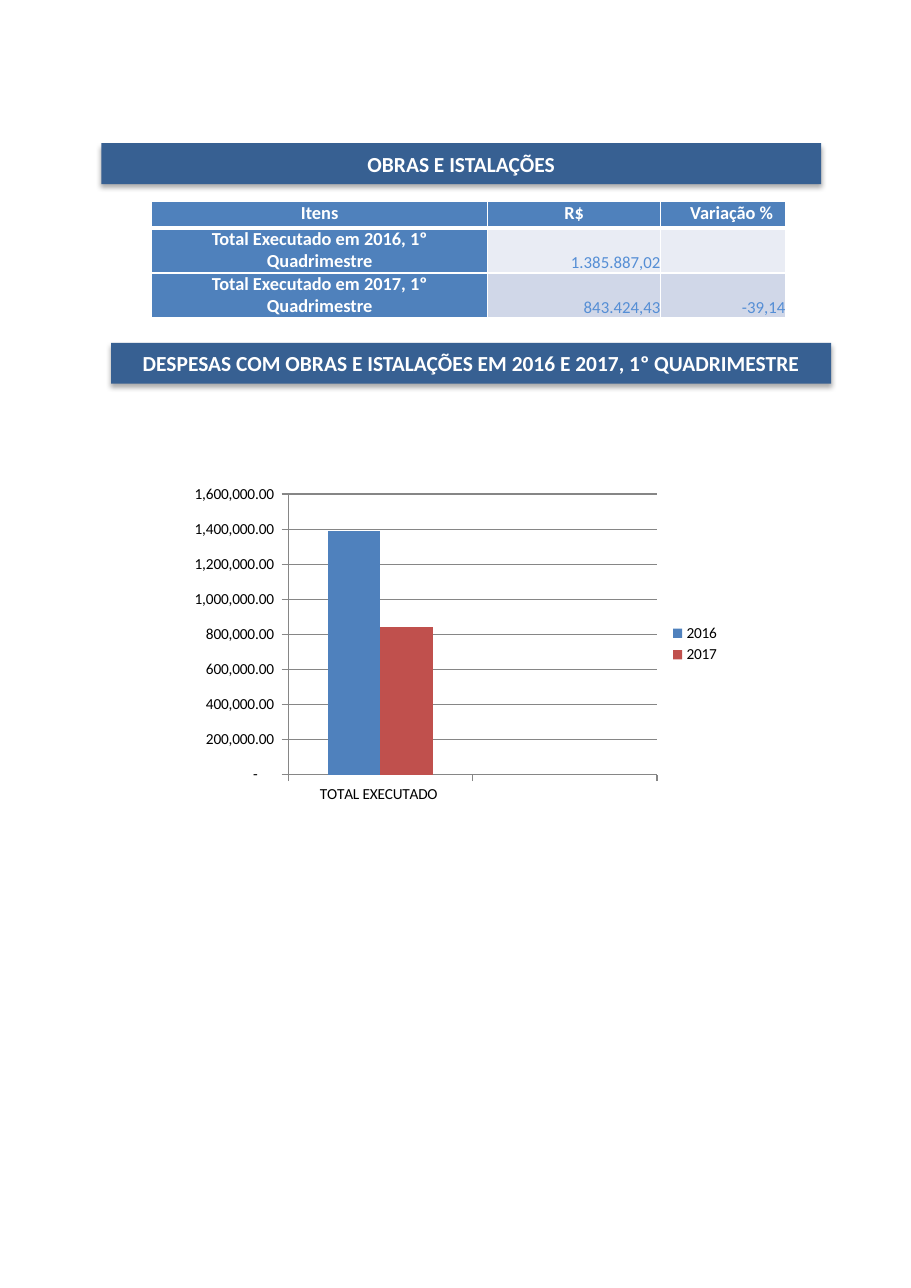
from lxml import etree
from pptx import Presentation
from pptx.chart.data import CategoryChartData
from pptx.dml.color import RGBColor
from pptx.enum.chart import XL_CHART_TYPE as CT, XL_LEGEND_POSITION as LP, XL_TICK_MARK as TM
from pptx.enum.shapes import MSO_SHAPE
from pptx.enum.text import MSO_ANCHOR as MA, MSO_AUTO_SIZE, PP_ALIGN as PA
from pptx.oxml import parse_xml
from pptx.oxml.ns import nsdecls, qn
from pptx.util import Pt

FONT = "Calibri"
NAVY, BLUE, WHITE = "376092", "4F81BC", "FFFFFF"
NUMBER_BLUE, GRID_GREY = "558ED5", "868686"
BAND_COLORS = ("E9ECF4", "D0D7E8")
SERIES_COLORS = ("4F81BD", "C0504D")


def rgb(value):
    return RGBColor.from_string(value)


def style_font(font, size, color, bold=False):
    font.name, font.size, font.bold = FONT, Pt(size), bold
    font.color.rgb = rgb(color)


def place(sp, x, y, w, h):
    sp.left, sp.top, sp.width, sp.height = Pt(x), Pt(y), Pt(w), Pt(h)


def format_banner(sp, text, x, y, w, h):
    """Navy bar with a soft shadow and centred heading."""
    place(sp, x, y, w, h)
    sp.fill.solid()
    sp.fill.fore_color.rgb = rgb(NAVY)
    sp.line.fill.background()
    sp.shadow.inherit = False
    effects = sp._element.spPr.find(qn("a:effectLst"))
    effects.append(parse_xml(
        f'<a:outerShdw {nsdecls("a")} blurRad="{Pt(3.5)}" dist="{Pt(2.2)}" dir="5400000" '
        'rotWithShape="0"><a:srgbClr val="000000"><a:alpha val="32000"/></a:srgbClr></a:outerShdw>'))
    tf = sp.text_frame
    tf.word_wrap, tf.auto_size = True, MSO_AUTO_SIZE.NONE
    tf.vertical_anchor = MA.MIDDLE
    tf.text = text
    p = tf.paragraphs[0]
    p.alignment = PA.CENTER
    style_font(p.font, 14, WHITE, True)


def set_borders(cell, top, bottom):
    tcPr = cell._tc.get_or_add_tcPr()
    for i, (side, width) in enumerate((("L", 1), ("R", 1), ("T", top), ("B", bottom))):
        ln = etree.Element(qn(f"a:ln{side}"), w=str(Pt(width)))
        fill = etree.SubElement(ln, qn("a:solidFill"))
        etree.SubElement(fill, qn("a:srgbClr"), val=WHITE)
        tcPr.insert(i, ln)


def format_cell(cell, text, row, col):
    heading = row == 0 or col == 0
    cell.margin_left = cell.margin_right = cell.margin_top = cell.margin_bottom = 0
    cell.fill.solid()
    cell.fill.fore_color.rgb = rgb(BLUE if heading else BAND_COLORS[row - 1])
    set_borders(cell, 3 if row == 1 else 1, 3 if row == 0 else 1)
    cell.vertical_anchor = MA.TOP if heading else MA.BOTTOM
    cell.text = text
    p = cell.text_frame.paragraphs[0]
    centred = col == 0 or (row == 0 and col == 1)
    p.alignment = PA.CENTER if centred else PA.RIGHT
    if heading:
        left, right = ((28.8, 28.8), (42.5, 42.5), (0, 8))[col]
        pPr = p._p.get_or_add_pPr()
        pPr.set("marL", str(Pt(left)))
        pPr.set("marR", str(Pt(right)))
    style_font(p.font, 12 if heading else 11, WHITE if heading else NUMBER_BLUE, heading)


def add_spending_table(slide, x, y, w, h):
    rows = (("Itens", "R$", "Variação %"),
            ("Total Executado em 2016, 1º Quadrimestre", "1.385.887,02", ""),
            ("Total Executado em 2017, 1º Quadrimestre", "843.424,43", "-39,14"))
    table = slide.shapes.add_table(3, 3, Pt(x), Pt(y), Pt(w), Pt(h)).table
    header_h = 17.3
    for col, share in zip(table.columns, (0.53, 0.273, 0.197)):
        col.width = Pt(w * share)
    for i, row in enumerate(table.rows):
        row.height = Pt(header_h if i == 0 else (h - header_h) / 2)
    for i, texts in enumerate(rows):
        for j, text in enumerate(texts):
            format_cell(table.cell(i, j), text, i, j)


def add_spending_chart(slide, x, y, w, h):
    data = CategoryChartData(number_format="#,##0.00")
    data.categories = ["TOTAL EXECUTADO ", ""]
    data.add_series("2016", (1390000, None))
    data.add_series("2017", (840000, None))
    chart = slide.shapes.add_chart(CT.COLUMN_CLUSTERED, Pt(x), Pt(y), Pt(w), Pt(h), data).chart
    chart.has_title = False
    style_font(chart.font, 10, "000000")
    chart.has_legend = True
    chart.legend.position = LP.RIGHT
    chart.legend.include_in_layout = False

    # Columns
    plot = chart.plots[0]
    plot.vary_by_categories = False
    plot.gap_width, plot.overlap = 150, 0
    for series, color in zip(plot.series, SERIES_COLORS):
        series.format.fill.solid()
        series.format.fill.fore_color.rgb = rgb(color)
        series.invert_if_negative = False

    # Axes and gridlines
    values = chart.value_axis
    values.minimum_scale, values.maximum_scale, values.major_unit = 0, 1600000, 200000
    values.has_major_gridlines = True
    values.tick_labels.number_format = '_(* #,##0.00_);_(* \\(#,##0.00\\);_(* "-"??_);_(@_)'
    values.tick_labels.number_format_is_linked = False
    for axis in (values, chart.category_axis):
        axis.major_tick_mark = TM.OUTSIDE
    for item in (values, chart.category_axis, values.major_gridlines):
        item.format.line.color.rgb = rgb(GRID_GREY)
        item.format.line.width = Pt(0.75)


def build_spending_slide(prs):
    slide = prs.slides.add_slide(prs.slide_layouts[5])
    banner_w, banner_h = 470.6, 26.7
    format_banner(slide.shapes.title, "OBRAS E ISTALAÇÕES", 66.2, 93.6, banner_w, banner_h)
    add_spending_table(slide, 99.2, 131.8, 414.2, 74.9)
    sp = slide.shapes.add_shape(MSO_SHAPE.RECTANGLE, 0, 0, 0, 0)
    format_banner(sp, "DESPESAS COM OBRAS E ISTALAÇÕES EM 2016 E 2017, 1º QUADRIMESTRE",
                  72.7, 224.1, banner_w, banner_h)
    add_spending_chart(slide, 117.8, 312.9, 360, 216)


def main():
    prs = Presentation()
    prs.slide_width, prs.slide_height = Pt(595.44), Pt(841.68)
    build_spending_slide(prs)
    prs.save("out.pptx")


if __name__ == "__main__":
    main()
